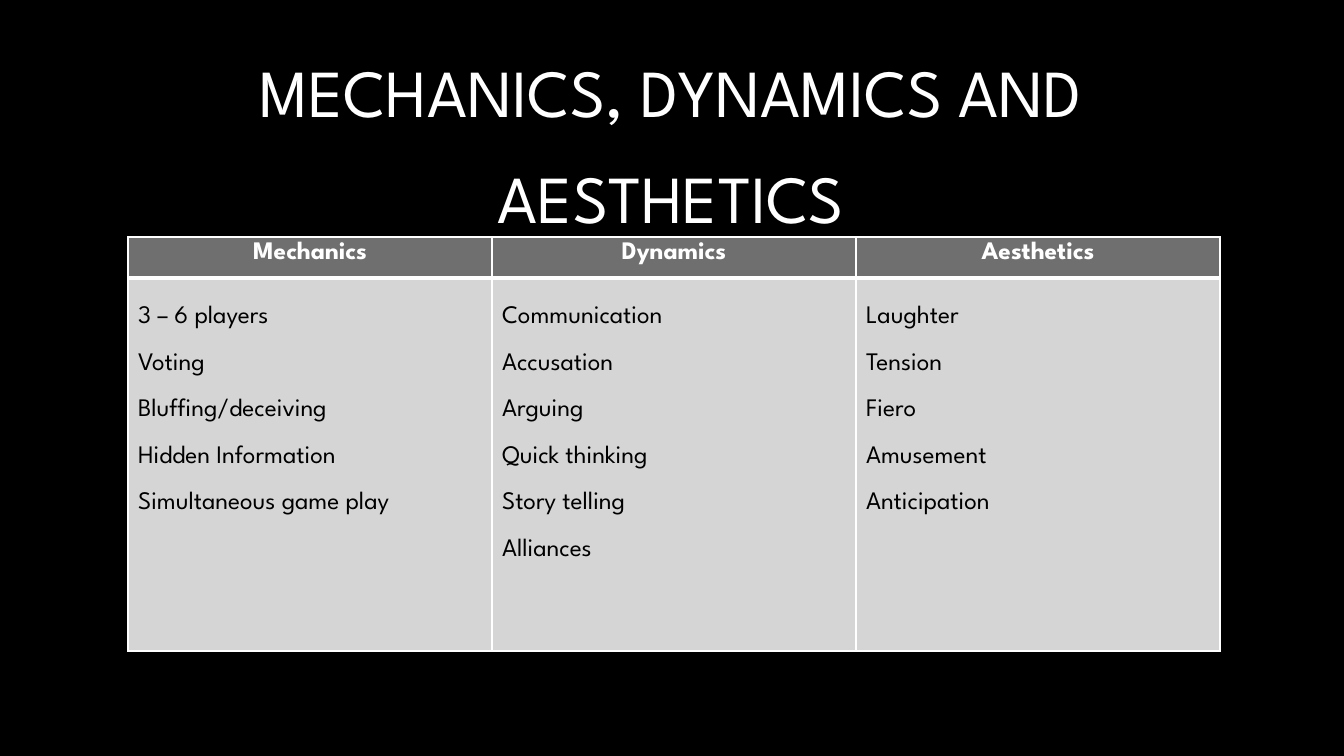
import pptx
import pptx.util
import pptx.dml.color
import pptx.enum.text
import pptx.oxml
from dataclasses import dataclass

ALIGN = pptx.enum.text.PP_ALIGN
ANCHOR = pptx.enum.text.MSO_ANCHOR


@dataclass(frozen=True)
class Theme:
    font: str = "League Spartan"
    back: str = "000000"
    light: str = "FFFFFF"
    dark: str = "000000"
    head: str = "6F6F6F"
    body: str = "D5D5D5"
    title: int = 48
    text: int = 18


THEME = Theme()
TITLE = "MECHANICS, DYNAMICS AND AESTHETICS"
COLUMNS = {
    "Mechanics": ["3 – 6 players", "Voting", "Bluffing/deceiving",
                  "Hidden Information", "Simultaneous game play"],
    "Dynamics": ["Communication", "Accusation", "Arguing",
                 "Quick thinking", "Story telling", "Alliances"],
    "Aesthetics": ["Laughter", "Tension", "Fiero", "Amusement", "Anticipation"],
}


def px(count):
    return round(count * 914400 / 100.8)


def color(code):
    return pptx.dml.color.RGBColor.from_string(code)


def write(frame, lines, size, ink, align, space, bold=False):
    frame.text = "\n".join(lines)
    for para in frame.paragraphs:
        para.alignment = align
        para.line_spacing = space
        para.font.name = THEME.font
        para.font.size = pptx.util.Pt(size)
        para.font.bold = bold
        para.font.color.rgb = color(ink)


def border(cell, widths):
    props = cell._tc.get_or_add_tcPr()
    for index, (side, width) in enumerate(widths.items()):
        line = pptx.oxml.parse_xml(
            f'<a:{side} xmlns:a="http://schemas.openxmlformats.org/drawingml/2006/main" '
            f'w="{pptx.util.Pt(width)}"><a:solidFill><a:srgbClr val="{THEME.light}"/>'
            f'</a:solidFill></a:{side}>')
        props.insert(index, line)


def heading(slide, left, top, width, height):
    frame = slide.shapes.add_textbox(px(left), px(top), px(width), px(height)).text_frame
    frame.word_wrap = True
    frame.vertical_anchor = ANCHOR.MIDDLE
    write(frame, [TITLE], THEME.title, THEME.light, ALIGN.CENTER, 1.31)


def grid(slide, left, top, width, height, bar):
    table = slide.shapes.add_table(
        2, len(COLUMNS), px(left), px(top), px(width), px(height)).table
    table.rows[0].height = px(bar)
    table.rows[1].height = px(height - bar)
    for col, (name, items) in enumerate(COLUMNS.items()):
        table.columns[col].width = px(width // len(COLUMNS))
        head, body = table.cell(0, col), table.cell(1, col)
        write(head.text_frame, [name], THEME.text, THEME.light, ALIGN.CENTER, 1, True)
        write(body.text_frame, items, THEME.text, THEME.dark, ALIGN.LEFT, 2)
        for cell, fill, above, below in ((head, THEME.head, 1, 3), (body, THEME.body, 3, 1)):
            cell.fill.solid()
            cell.fill.fore_color.rgb = color(fill)
            border(cell, {"lnL": 1, "lnR": 1, "lnT": above, "lnB": below})


def main():
    deck = pptx.Presentation()
    deck.slide_width, deck.slide_height = px(1344), px(756)
    slide = deck.slides.add_slide(deck.slide_layouts[6])
    slide.background.fill.solid()
    slide.background.fill.fore_color.rgb = color(THEME.back)
    heading(slide, 125, 26, 1092, 210)
    grid(slide, 128, 237, 1092, 352, 41)
    deck.save("out.pptx")


if __name__ == "__main__":
    main()
